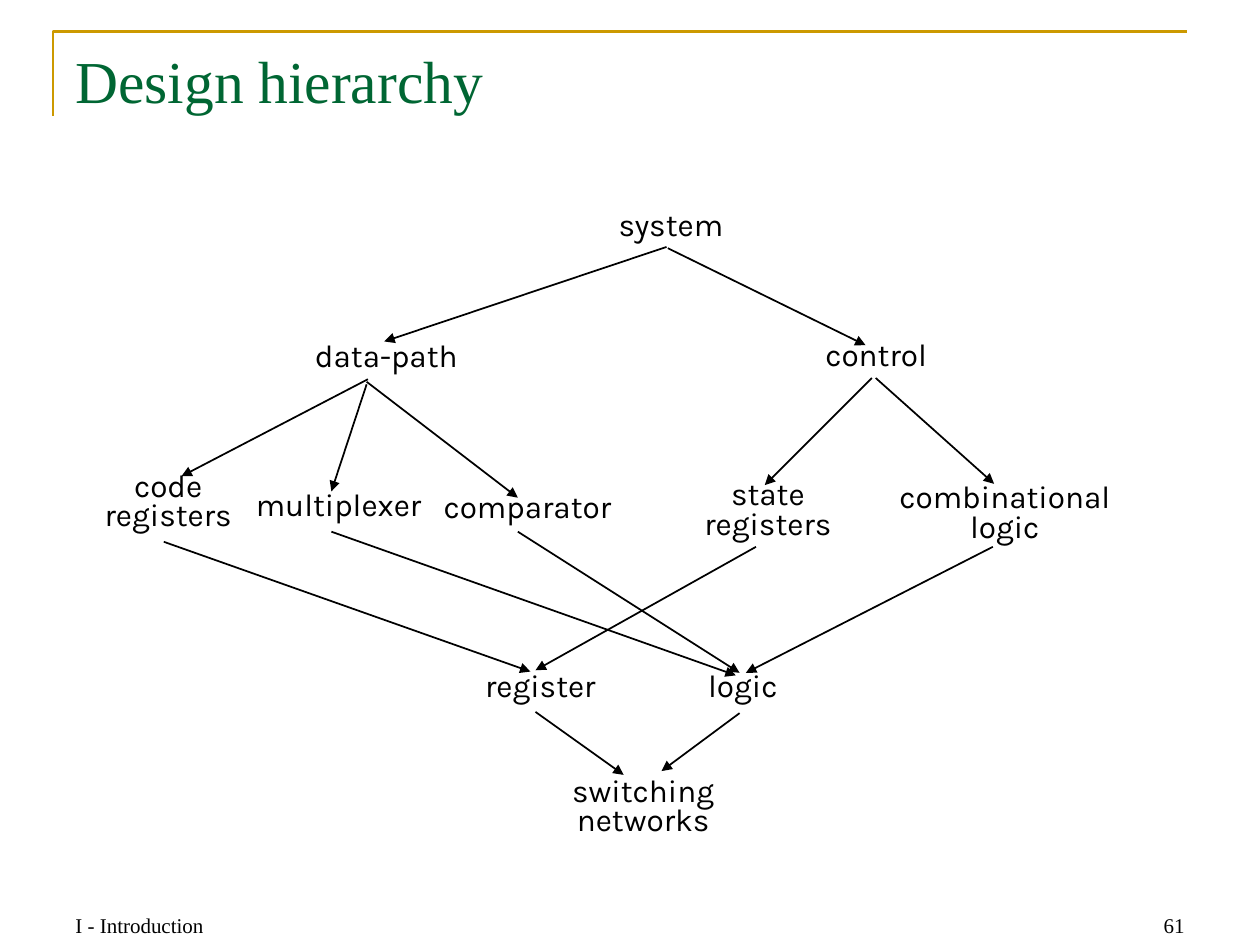
from lxml import etree
from pptx import Presentation
from pptx.dml.color import RGBColor
from pptx.enum.shapes import MSO_CONNECTOR
from pptx.enum.text import MSO_ANCHOR, MSO_AUTO_SIZE, PP_ALIGN
from pptx.oxml.ns import qn
from pptx.util import Pt

PX = 9144
LEFT, CENTER, RIGHT = PP_ALIGN.LEFT, PP_ALIGN.CENTER, PP_ALIGN.RIGHT
TOP, BOTTOM = MSO_ANCHOR.TOP, MSO_ANCHOR.BOTTOM
STRAIGHT = MSO_CONNECTOR.STRAIGHT
NO_AUTOFIT = MSO_AUTO_SIZE.NONE
BLACK, GREEN, GOLD = "000000", "006633", "CC9900"
SERIF, SANS = "Times New Roman", "Karla"

NODE_FRAME = {"margin_left": 2 * PX, "margin_right": 2 * PX,
              "margin_top": 3 * PX, "margin_bottom": 3 * PX}
NODES = [
    ("system", 489, 166, 112, LEFT),
    ("data-path", 248, 270, 133, LEFT),
    ("control", 653, 269, 111, LEFT),
    ("code\vregisters", 83, 373, 101, CENTER),
    ("multiplexer", 201, 388, 149, LEFT),
    ("comparator", 350, 390, 152, LEFT),
    ("state\vregisters", 526, 380, 167, CENTER),
    ("combinational\vlogic", 679, 382, 237, CENTER),
    ("register", 383, 532, 116, LEFT),
    ("logic", 560, 532, 92, LEFT),
    ("switching\vnetworks", 409, 615, 203, CENTER),
]
ARROWS = [
    (529, 196, 305, 271), (530, 197, 687, 274),
    (292, 301, 144, 378), (291, 305, 263, 390), (291, 303, 411, 395),
    (692, 300, 607, 385), (695, 300, 789, 384),
    (130, 430, 421, 533), (600, 434, 425, 532),
    (263, 422, 584, 536), (411, 422, 587, 534), (788, 434, 592, 534),
    (425, 565, 495, 615), (587, 566, 525, 612),
]


def px(*lengths):
    """Turn px lengths into EMU."""
    return [length * PX for length in lengths]


def colour(value):
    """Return the colour for a hex string."""
    return RGBColor.from_string(value)


def apply(target, values):
    """Set each attribute of the target from a dict."""
    for name, value in values.items():
        setattr(target, name, value)


def write(box, text, font, size, ink, para_format, frame_format):
    """Fill a box with one formatted paragraph."""
    frame = box.text_frame
    frame.text = text
    apply(frame, {"auto_size": NO_AUTOFIT, "word_wrap": True, **frame_format})
    para = frame.paragraphs[0]
    apply(para, para_format)
    for span in para.runs:
        apply(span.font, {"name": font, "size": Pt(size)})
        span.font.color.rgb = colour(ink)


def add_title(page, text):
    """Place the title in its placeholder."""
    title = page.shapes.title
    apply(title, dict(zip(("left", "top", "width", "height"),
                          px(50, 30, 900, 125))))
    write(title, text, SERIF, 34, GREEN, {"alignment": LEFT},
          {"vertical_anchor": TOP})


def add_corner_rule(page):
    """Draw the gold rule around the title corner."""
    builder = page.shapes.build_freeform(*px(42, 92))
    builder.add_line_segments([px(42, 25), px(942, 25)], close=False)
    rule = builder.convert_to_shape()
    rule.shadow.inherit = False
    rule.fill.background()
    rule.line.color.rgb = colour(GOLD)
    rule.line.width = Pt(1.5)


def add_footer(page, text, left, align):
    """Add a footer text at the bottom of the page."""
    box = page.shapes.add_textbox(*px(left, 699, 233, 50))
    write(box, text, SERIF, 12, BLACK, {"alignment": align},
          {"vertical_anchor": BOTTOM})


def add_node(page, text, left, top, width, align):
    """Add one label of the hierarchy."""
    height = 60 if "\v" in text else 37
    box = page.shapes.add_textbox(*px(left, top, width, height))
    write(box, text, SANS, 18, BLACK,
          {"alignment": align, "line_spacing": Pt(17)},
          {**NODE_FRAME, "word_wrap": align == LEFT})


def add_arrow(page, *ends):
    """Add an arrow from a parent to a child."""
    arrow = page.shapes.add_connector(STRAIGHT, *px(*ends))
    arrow.line.color.rgb = colour(BLACK)
    arrow.line.width = Pt(1)
    properties = arrow.element.spPr
    etree.SubElement(properties.find(qn("a:ln")), qn("a:tailEnd"),
                     type="triangle")
    etree.SubElement(properties, qn("a:effectLst"))


def main():
    """Build the slide and save it."""
    deck = Presentation()
    deck.slide_width, deck.slide_height = px(1000, 750)
    page = deck.slides.add_slide(deck.slide_layouts[5])
    add_corner_rule(page)
    add_title(page, "Design hierarchy")
    add_footer(page, "I - Introduction", 50, LEFT)
    add_footer(page, "61", 717, RIGHT)
    for node in NODES:
        add_node(page, *node)
    for ends in ARROWS:
        add_arrow(page, *ends)
    deck.save("out.pptx")


if __name__ == "__main__":
    main()
